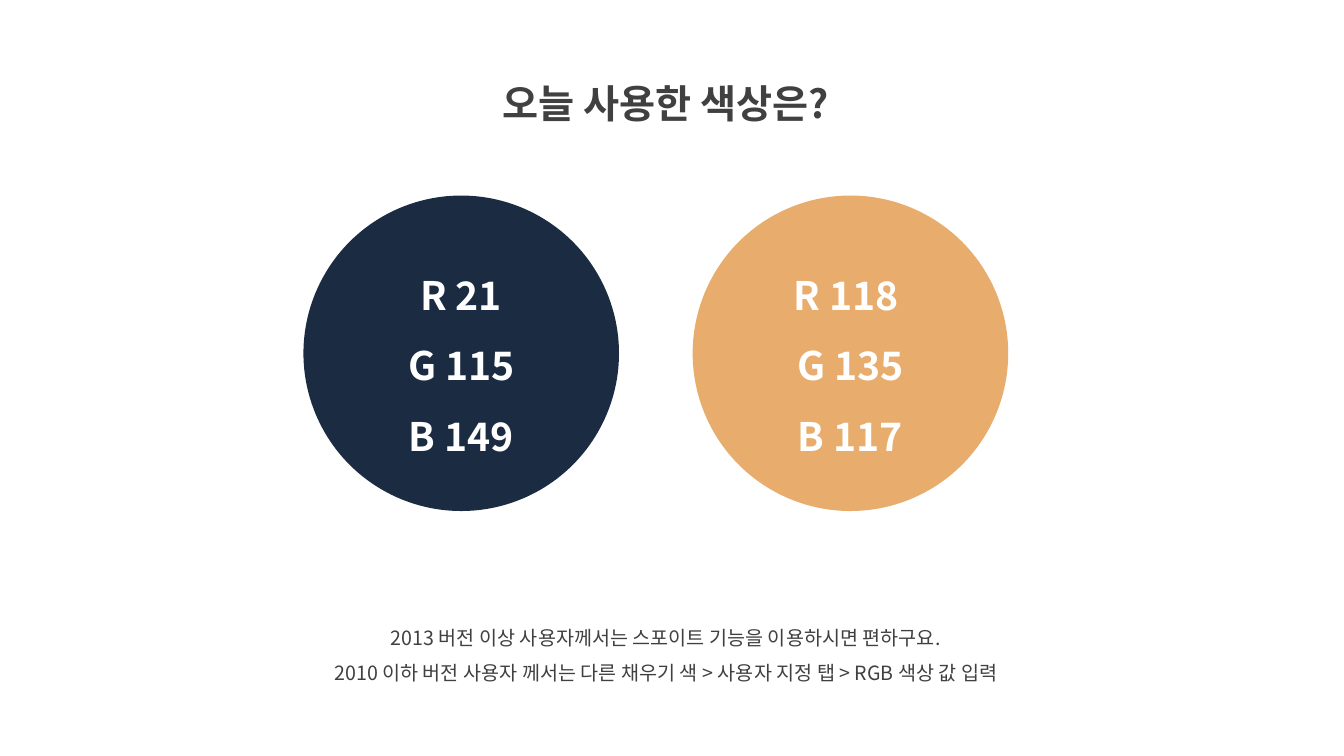
from lxml import etree
from pptx import Presentation
from pptx.dml.color import RGBColor
from pptx.enum.shapes import MSO_SHAPE
from pptx.enum.text import MSO_ANCHOR, MSO_AUTO_SIZE, PP_ALIGN
from pptx.oxml.ns import qn
from pptx.util import Inches, Pt

CENTER = PP_ALIGN.CENTER
TOP, MIDDLE = MSO_ANCHOR.TOP, MSO_ANCHOR.MIDDLE
GROW = MSO_AUTO_SIZE.SHAPE_TO_FIT_TEXT
OVAL = MSO_SHAPE.OVAL
TITLE_ONLY = 5

FONT = "Noto Sans CJK KR"
COLORS = {"text": "404040", "light": "FFFFFF", "navy": "1B2C42", "sand": "E8AC6C"}

SWATCHES = [
    ("navy", ["R 21", "G 115", "B 149"]),
    ("sand", ["R 118 ", "G 135", "B 117"]),
]
NOTES = [
    "2013 버전 이상 사용자께서는 스포이트 기능을 이용하시면 편하구요.",
    "2010 이하 버전 사용자 께서는 다른 채우기 색 > 사용자 지정 탭 > RGB 색상 값 입력",
]


def write_lines(tf, lines, size, color, bold=False, anchor=TOP):
    tf.word_wrap = True
    tf.vertical_anchor = anchor
    for i, line in enumerate(lines):
        p = tf.paragraphs[0] if i == 0 else tf.add_paragraph()
        p.text = line
        p.alignment = CENTER
        p.line_spacing = 1.5
        p.font.name = FONT
        p.font.size = Pt(size)
        p.font.bold = bold
        p.font.color.rgb = RGBColor.from_string(COLORS[color])
        # Korean glyphs take the East Asian typeface
        props = p._p.pPr.find(qn("a:defRPr"))
        etree.SubElement(props, qn("a:ea")).set("typeface", FONT)


def add_title(s, x, y, w, h):
    title = s.shapes.title
    title.left, title.top, title.width, title.height = map(Inches, (x, y, w, h))
    write_lines(title.text_frame, ["오늘 사용한 색상은?"], 28, "text", bold=True)
    title.text_frame.auto_size = GROW


def add_swatches(s, x, y, diameter, gap):
    for i, (color, values) in enumerate(SWATCHES):
        left = x + i * (diameter + gap)
        sp = s.shapes.add_shape(OVAL, Inches(left), Inches(y),
                                Inches(diameter), Inches(diameter))
        sp.shadow.inherit = False
        sp.fill.solid()
        sp.fill.fore_color.rgb = RGBColor.from_string(COLORS[color])
        sp.line.fill.background()
        write_lines(sp.text_frame, values, 28, "light", bold=True, anchor=MIDDLE)


def add_notes(s, x, y, w, h):
    box = s.shapes.add_textbox(*map(Inches, (x, y, w, h)))
    write_lines(box.text_frame, NOTES, 14, "text")
    box.text_frame.auto_size = GROW


def main():
    prs = Presentation()
    prs.slide_width, prs.slide_height = Inches(13.33), Inches(7.5)
    s = prs.slides.add_slide(prs.slide_layouts[TITLE_ONLY])
    add_title(s, 4.29, 0.5, 4.63, 0.72)
    add_swatches(s, 3.01, 1.94, diameter=3.13, gap=0.73)
    add_notes(s, 2.61, 6.04, 7.99, 0.81)
    prs.save("out.pptx")


if __name__ == "__main__":
    main()
